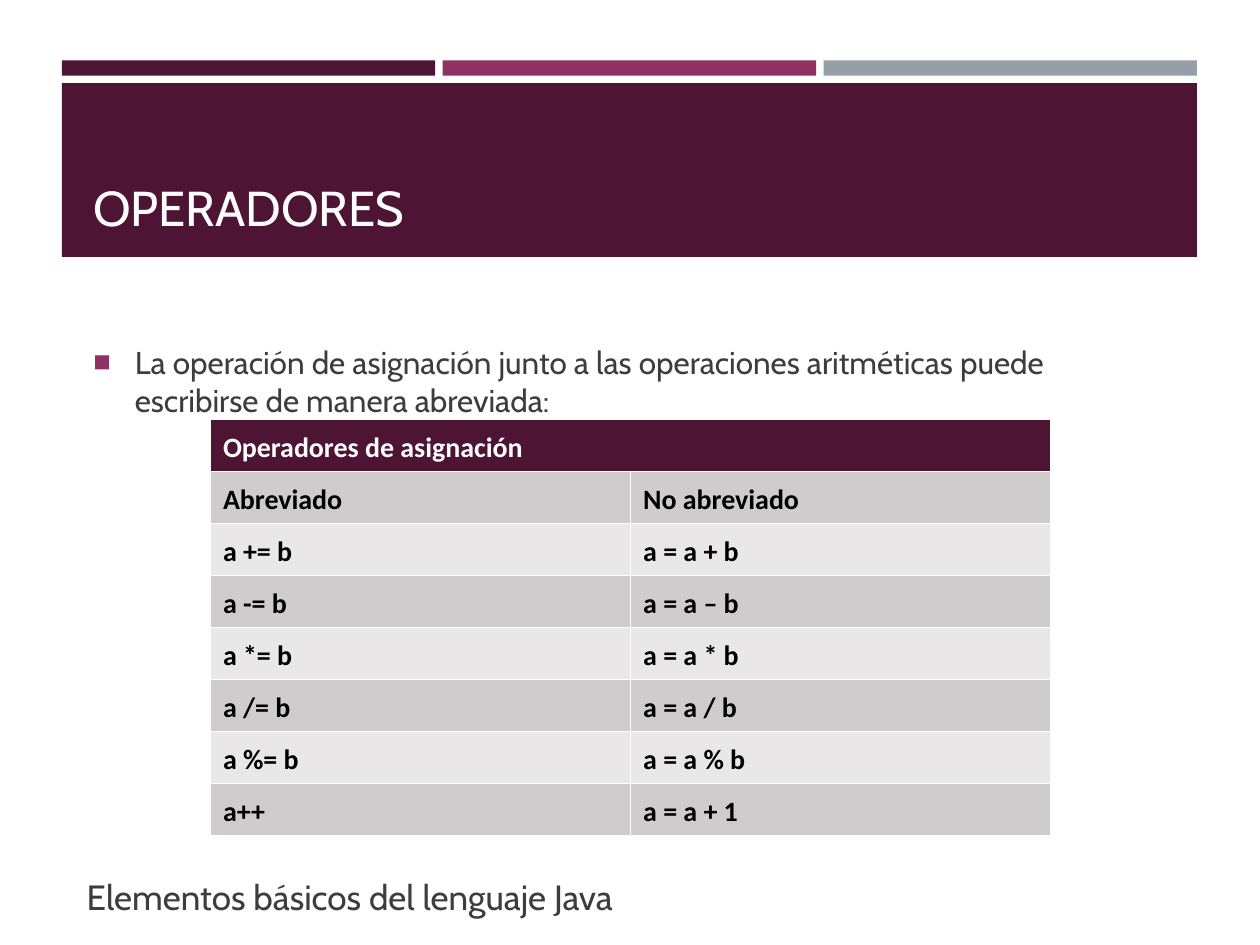
from dataclasses import dataclass

from lxml.etree import SubElement
from pptx import Presentation
from pptx.dml.color import RGBColor
from pptx.enum.shapes import MSO_SHAPE
from pptx.enum.text import MSO_ANCHOR, MSO_AUTO_SIZE, PP_ALIGN
from pptx.oxml.ns import qn
from pptx.util import Inches, Pt


@dataclass(frozen=True)
class Theme:
    plum: str = "4D1434"
    magenta: str = "903163"
    slate: str = "969FA7"
    text: str = "3D3D3D"
    white: str = "FFFFFF"
    black: str = "000000"
    row_dark: str = "D0CCCE"
    row_light: str = "E9E7E8"
    font: str = "Cabin"
    table_font: str = "Calibri"
    title_size: int = 28
    footer_size: int = 20
    body_size: int = 18
    table_size: int = 16


def place(shape, left, top, width, height):
    shape.left, shape.top = Inches(left), Inches(top)
    shape.width, shape.height = Inches(width), Inches(height)


def add_solid_fill(parent, color):
    fill = SubElement(parent, qn("a:solidFill"))
    SubElement(fill, qn("a:srgbClr"), val=color)


class SlideBuilder:
    def __init__(self, slide, theme):
        self.slide = slide
        self.theme = theme

    def style(self, paragraph, size, color, font=None, bold=False):
        paragraph.font.name = font or self.theme.font
        paragraph.font.size = Pt(size)
        paragraph.font.bold = bold
        paragraph.font.color.rgb = RGBColor.from_string(color)

    def fill_frame(self, shape, text, anchor):
        frame = shape.text_frame
        frame.text = text
        frame.word_wrap = True
        frame.auto_size = MSO_AUTO_SIZE.NONE
        frame.vertical_anchor = anchor
        paragraph = frame.paragraphs[0]
        paragraph.alignment = PP_ALIGN.LEFT
        return paragraph

    def bar(self, left, top, width, height, color):
        bar = self.slide.shapes.add_shape(
            MSO_SHAPE.RECTANGLE, Inches(left), Inches(top), Inches(width), Inches(height))
        bar.shadow.inherit = False
        bar.fill.solid()
        bar.fill.fore_color.rgb = RGBColor.from_string(color)
        bar.line.fill.background()

    def title(self, text, *box):
        """Fill the title placeholder and bring it in front of the band."""
        title = self.slide.shapes.title
        place(title, *box)
        paragraph = self.fill_frame(title, text, MSO_ANCHOR.BOTTOM)
        self.style(paragraph, self.theme.title_size, self.theme.white)
        title.element.getparent().append(title.element)

    def bullet(self, text, *box):
        body = self.slide.placeholders[1]
        place(body, *box)
        paragraph = self.fill_frame(body, text, MSO_ANCHOR.MIDDLE)
        paragraph.space_before = paragraph.space_after = Pt(0)
        properties = paragraph._p.get_or_add_pPr()
        properties.set("marL", str(Inches(0.33)))
        properties.set("indent", str(-Inches(0.33)))
        color = SubElement(properties, qn("a:buClr"))
        SubElement(color, qn("a:srgbClr"), val=self.theme.magenta)
        SubElement(properties, qn("a:buSzPct"), val="92000")
        SubElement(properties, qn("a:buChar"), char="■")
        self.style(paragraph, self.theme.body_size, self.theme.text)

    def footer(self, text, *box):
        footer = self.slide.shapes.add_textbox(*map(Inches, box))
        paragraph = self.fill_frame(footer, text, MSO_ANCHOR.BOTTOM)
        self.style(paragraph, self.theme.footer_size, self.theme.text)

    def cell(self, cell, text, fill, color):
        properties = cell._tc.get_or_add_tcPr()
        for side in ("lnL", "lnR", "lnT", "lnB"):
            border = SubElement(properties, qn(f"a:{side}"), w=str(Pt(1)))
            add_solid_fill(border, self.theme.white)
        cell.fill.solid()
        cell.fill.fore_color.rgb = RGBColor.from_string(fill)
        cell.text = text
        paragraph = cell.text_frame.paragraphs[0]
        paragraph.alignment = PP_ALIGN.JUSTIFY
        paragraph.line_spacing = 1.15
        paragraph.space_after = Pt(6)
        self.style(paragraph, self.theme.table_size, color, self.theme.table_font, True)

    def table(self, heading, rows, left, top, width, row_height):
        """Add a table whose heading spans all columns above banded rows."""
        theme = self.theme
        columns = len(rows[0])
        count = len(rows) + 1
        table = self.slide.shapes.add_table(
            count, columns, Inches(left), Inches(top),
            Inches(width), Inches(row_height * count)).table
        for row in table.rows:
            row.height = Inches(row_height)
        for column in range(columns):
            self.cell(table.cell(0, column), heading if column == 0 else "",
                      theme.plum, theme.white)
        table.cell(0, 0).merge(table.cell(0, columns - 1))
        for index, row in enumerate(rows, start=1):
            fill = theme.row_dark if index % 2 else theme.row_light
            for column, text in enumerate(row):
                self.cell(table.cell(index, column), text, fill, theme.black)


def main():
    theme = Theme()
    presentation = Presentation()
    presentation.slide_width, presentation.slide_height = Inches(10), Inches(7.5)
    slide = presentation.slides.add_slide(presentation.slide_layouts[1])
    builder = SlideBuilder(slide, theme)

    left, width, gap = 0.49, 9.01, 0.06
    bar_width = (width - 2 * gap) / 3
    for index, color in enumerate((theme.plum, theme.magenta, theme.slate)):
        builder.bar(left + index * (bar_width + gap), 0.48, bar_width, 0.12, color)
    builder.bar(left, 0.66, width, 1.38, theme.plum)

    builder.title("OPERADORES", 0.64, 0.75, 8.74, 1.18)
    builder.bullet(
        "La operación de asignación junto a las operaciones aritméticas puede "
        "escribirse de manera abreviada:", 0.64, 2.67, 8.74, 0.7)
    builder.table("Operadores de asignación", [
        ("Abreviado", "No abreviado"),
        ("a += b", "a = a + b"),
        ("a -= b", "a = a – b"),
        ("a *= b", "a = a * b"),
        ("a /= b", "a = a / b"),
        ("a %= b", "a = a % b"),
        ("a++", "a = a + 1"),
    ], 1.67, 3.33, 6.67, 0.41)
    builder.footer("Elementos básicos del lenguaje Java", 0.59, 6.78, 9, 0.55)
    presentation.save("out.pptx")


if __name__ == "__main__":
    main()
